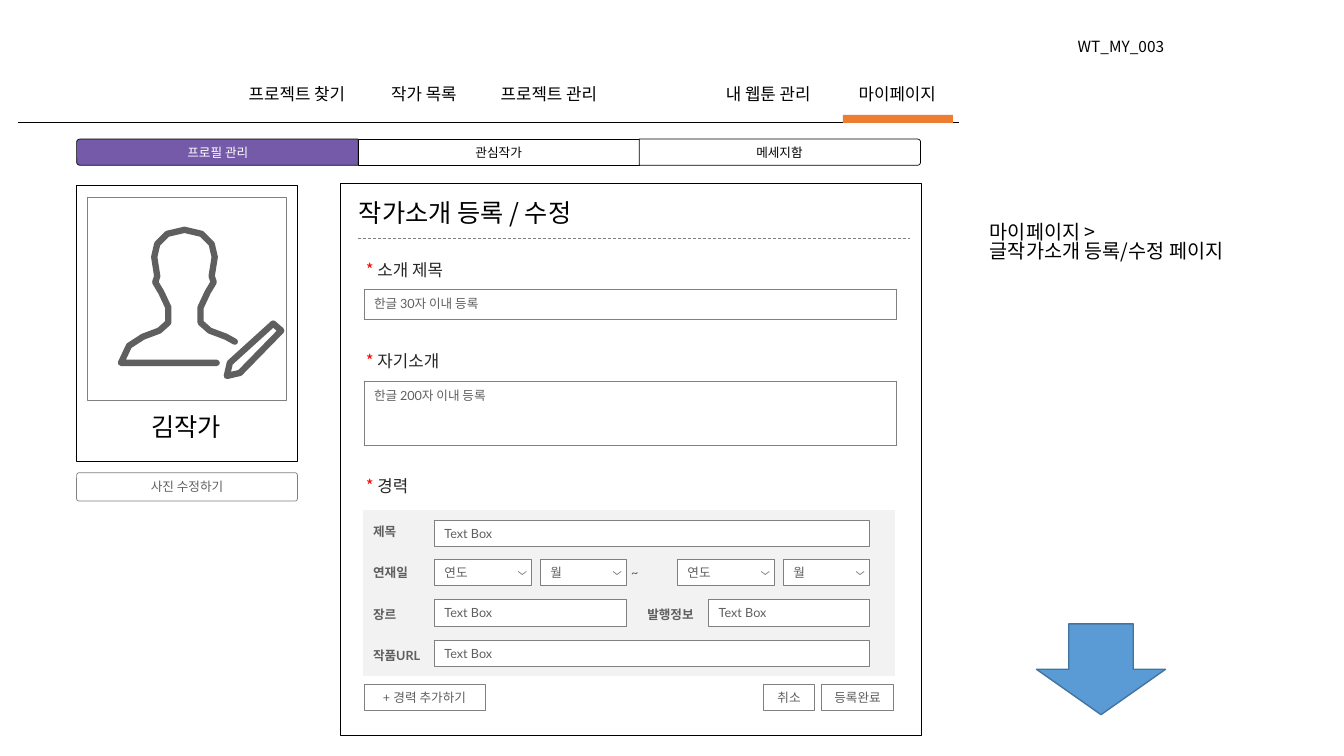
from lxml import etree
from pptx import Presentation
from pptx.dml.color import RGBColor
from pptx.enum.dml import MSO_LINE
from pptx.enum.shapes import MSO_CONNECTOR, MSO_SHAPE
from pptx.enum.text import MSO_ANCHOR, MSO_AUTO_SIZE, PP_ALIGN
from pptx.oxml import parse_xml
from pptx.oxml.ns import nsdecls, qn
from pptx.util import Inches, Pt

KOREAN, LATIN = "Noto Sans CJK KR", "Lato"
GRAY, TEXT_GRAY = "808080", "5F5F5F"
NO_GRID = "{2D5ABB26-0587-4C30-8999-92F81FD0307C}"


def paint(shape, fill=None, line=None, width=0.5):
    shape.shadow.inherit = False
    for part, color in ((shape.fill, fill), (shape.line.fill, line)):
        if color:
            part.solid()
            part.fore_color.rgb = RGBColor.from_string(color)
        else:
            part.background()
    if line:
        shape.line.width = Pt(width)


def style(frame, size, color, font=KOREAN, align=PP_ALIGN.LEFT, bold=False):
    frame.word_wrap = True
    for para in frame.paragraphs:
        para.alignment = align
        if font == KOREAN:
            para.line_spacing = 0.83
        for span in para.runs:
            span.font.size = Pt(size)
            span.font.bold = bold
            span.font.name = font
            span.font.color.rgb = RGBColor.from_string(color)
            east_asian = etree.SubElement(span.font._element, qn("a:ea"))
            east_asian.set("typeface", KOREAN)


deck = Presentation()
deck.slide_width, deck.slide_height = Inches(13.33), Inches(7.5)
page = deck.slides.add_slide(deck.slide_layouts[5])
shapes = page.shapes

for left, top, width, height in ((3.38, 1.82, 5.76, 5.48), (0.76, 1.84, 2.19, 2.74)):
    panel = shapes.add_shape(MSO_SHAPE.RECTANGLE, Inches(left), Inches(top), Inches(width), Inches(height))
    paint(panel, None, "000000", 1)

title = shapes.title
title.left, title.top, title.width, title.height = Inches(3.46), Inches(1.96), Inches(5.81), Inches(0.4)
title.text_frame.text = "작가소개 등록 / 수정"
title.text_frame.auto_size = MSO_AUTO_SIZE.NONE
title.text_frame.vertical_anchor = MSO_ANCHOR.TOP
style(title.text_frame, 18, "000000")

for left, right, y, color, dash in ((3.55, 9.03, 2.36, GRAY, MSO_LINE.DASH), (0.18, 9.51, 1.21, "000000", None)):
    rule = shapes.add_connector(MSO_CONNECTOR.STRAIGHT, Inches(left), Inches(y), Inches(right), Inches(y))
    rule.line.color.rgb = RGBColor.from_string(color)
    rule.line.width = Pt(0.5)
    rule.line.dash_style = dash
    etree.SubElement(rule._element.spPr, qn("a:effectLst"))

captions = [
    (9.72, 2.17, 3.23, 0.57, "마이페이지 >\n글작가소개 등록/수정 페이지", 14, PP_ALIGN.LEFT),
    (10.59, 0.35, 2.59, 0.29, "WT_MY_003", 11, PP_ALIGN.LEFT),
    (0.87, 4.08, 1.95, 0.4, "김작가", 18, PP_ALIGN.CENTER),
]
menu = ((2.3, 1.29, "프로젝트 찾기"), (3.74, 0.93, "작가 목록"), (4.81, 1.27, "프로젝트 관리"),
        (7.02, 1.2, "내 웹툰 관리"), (8.36, 1.08, "마이페이지"))
captions += [(left, 0.82, width, 0.3, text, 12, PP_ALIGN.CENTER) for left, width, text in menu]
for left, top, width, height, text, size, align in captions:
    box = shapes.add_textbox(Inches(left), Inches(top), Inches(width), Inches(height))
    box.text_frame.text = text
    style(box.text_frame, size, "000000", align=align)

for top, label in ((2.56, "소개 제목"), (3.46, "자기소개"), (4.7, "경력")):
    box = shapes.add_textbox(Inches(3.53), Inches(top), Inches(5.81), Inches(0.3))
    box.text_frame.text = "* "
    para = box.text_frame.paragraphs[0]
    para.add_run().text = label
    style(box.text_frame, 12, "262626")
    para.runs[0].font.color.rgb = RGBColor.from_string("FF0000")

for top, height, hint in ((2.87, 0.3, "한글 30자 이내 등록"), (3.78, 0.64, "한글 200자 이내 등록")):
    table = shapes.add_table(1, 1, Inches(3.61), Inches(top), Inches(5.28), Inches(height)).table
    table.first_row = table.horz_banding = False
    cell = table.cell(0, 0)
    cell.text_frame.text = hint
    style(cell.text_frame, 9, TEXT_GRAY, LATIN)
    cell_format = cell._tc.get_or_add_tcPr()
    for side in ("lnL", "lnR", "lnT", "lnB"):
        cell_format.append(parse_xml(
            f'<a:{side} {nsdecls("a")} w="6350"><a:solidFill><a:srgbClr val="{GRAY}"/></a:solidFill></a:{side}>'))
    cell.fill.solid()
    cell.fill.fore_color.rgb = RGBColor.from_string("FFFFFF")

career = shapes.add_table(4, 4, Inches(3.6), Inches(5.06), Inches(5.28), Inches(1.65)).table
career.first_row = career.horz_banding = False
career._tbl.tblPr.find(qn("a:tableStyleId")).text = NO_GRID
for column, width in zip(career.columns, (0.77, 1.95, 1.31, 1.25)):
    column.width = Inches(width)
for row in (0, 1, 3):
    career.cell(row, 1).merge(career.cell(row, 3))
for row, label in enumerate(("제목", "연재일", "장르", "작품URL")):
    career.cell(row, 0).text_frame.text = label
career.cell(1, 1).text_frame.text = "~"
career.cell(2, 2).text_frame.text = "발행정보"
for cell in career.iter_cells():
    cell.margin_top = cell.margin_bottom = 0
    cell.vertical_anchor = MSO_ANCHOR.MIDDLE
    cell.fill.solid()
    cell.fill.fore_color.rgb = RGBColor.from_string("F2F2F2")
    style(cell.text_frame, 9, TEXT_GRAY, LATIN, bold=cell.text_frame.text != "~")
career.cell(1, 1).margin_left = Inches(1.89)

inputs = ((4.31, 5.16, 4.31), (4.31, 5.95, 1.9), (7.03, 5.95, 1.59), (4.31, 6.35, 4.31))
fields = [(left, top, width, "Text Box", PP_ALIGN.LEFT) for left, top, width in inputs]
selects = [(start + offset, width, text) for start in (4.31, 6.72)
           for offset, width, text in ((0, 0.96, "연도"), (1.05, 0.85, "월"))]
fields += [(left, 5.55, width, text, PP_ALIGN.LEFT) for left, width, text in selects]
buttons = ((3.61, 1.2, "+ 경력 추가하기"), (7.57, 0.51, "취소"), (8.15, 0.71, "등록완료"))
fields += [(left, 6.79, width, text, PP_ALIGN.CENTER) for left, width, text in buttons]
for left, top, width, text, align in fields:
    field = shapes.add_shape(MSO_SHAPE.RECTANGLE, Inches(left), Inches(top), Inches(width), Inches(0.26))
    paint(field, "FFFFFF", GRAY)
    frame = field.text_frame
    frame.text = text
    frame.vertical_anchor = MSO_ANCHOR.MIDDLE
    frame.margin_top = frame.margin_bottom = Inches(0.02)
    style(frame, 9, TEXT_GRAY, LATIN, align)

for left, width, text in selects:
    tip = left + width - 0.09
    chevron = shapes.build_freeform(Inches(tip + 0.04), Inches(5.67), scale=1.0)
    chevron.add_line_segments([(Inches(tip), Inches(5.7)), (Inches(tip - 0.04), Inches(5.67))], close=False)
    paint(chevron.convert_to_shape(), "FFFFFF", GRAY)

tab_width, tab_height = 2.79, 0.26
tabs = (("프로필 관리", "755AA9", "FFFFFF", (0, 0.12)), ("관심작가", "FFFFFF", "000000", None),
        ("메세지함", "FFFFFF", "000000", (0.11, 0)))
for index, (text, fill, color, corners) in enumerate(tabs):
    left, top, width, height = 0.76 + index * tab_width, 1.38, tab_width, tab_height
    if corners:
        left, top = left + (width - height) / 2, top - (width - height) / 2
        width, height = height, width
    kind = MSO_SHAPE.ROUND_2_SAME_RECTANGLE if corners else MSO_SHAPE.RECTANGLE
    tab = shapes.add_shape(kind, Inches(left), Inches(top), Inches(width), Inches(height))
    paint(tab, fill, "000000")
    frame = tab.text_frame
    frame.text = text
    frame.vertical_anchor = MSO_ANCHOR.MIDDLE
    frame.margin_left = frame.margin_right = frame.margin_top = frame.margin_bottom = 0
    style(frame, 9, color, LATIN, PP_ALIGN.CENTER)
    if corners:
        tab.adjustments[0], tab.adjustments[1] = corners
        tab.rotation = 90
        tab._element.txBody.bodyPr.set("vert", "vert270")

photo = shapes.add_shape(MSO_SHAPE.RECTANGLE, Inches(0.87), Inches(1.96), Inches(1.97), Inches(2.01))
paint(photo, "FFFFFF", GRAY)
photo_button = shapes.add_shape(MSO_SHAPE.ROUNDED_RECTANGLE, Inches(0.76), Inches(4.69), Inches(2.19), Inches(0.28))
photo_button.adjustments[0] = 0.08
paint(photo_button, "FFFFFF", GRAY)
photo_button.text_frame.text = "사진 수정하기"
photo_button.text_frame.vertical_anchor = MSO_ANCHOR.MIDDLE
style(photo_button.text_frame, 9, TEXT_GRAY, LATIN, PP_ALIGN.CENTER)

face_center = 1.83
profile = [(1.83, 2.28), (1.66, 2.32), (1.56, 2.42), (1.53, 2.55), (1.56, 2.74), (1.54, 2.8), (1.6, 2.9),
           (1.67, 3.05), (1.67, 3.2), (1.58, 3.28), (1.42, 3.34)]
mirrored = [(2 * face_center - x, y) for x, y in reversed(profile[1:])]
person = [(2.33, 3.39)] + mirrored + profile + [(1.28, 3.43), (1.2, 3.6), (2.15, 3.6)]
pencil = [(2.71, 3.21), (2.79, 3.28), (2.38, 3.7), (2.25, 3.73), (2.28, 3.6)]
for outline, closed in ((person, False), (pencil, True)):
    corners = [(Inches(x), Inches(y)) for x, y in outline]
    builder = shapes.build_freeform(*corners[0], scale=1.0)
    builder.add_line_segments(corners[1:], close=closed)
    stroke = builder.convert_to_shape()
    paint(stroke, None, TEXT_GRAY, 4.5)
    line = stroke._element.spPr.find(qn("a:ln"))
    line.set("cap", "rnd")
    etree.SubElement(line, qn("a:round"))

marker = shapes.add_shape(MSO_SHAPE.RECTANGLE, Inches(8.36), Inches(1.14), Inches(1.09), Inches(0.08))
paint(marker, "ED7D31")
arrow = shapes.add_shape(MSO_SHAPE.DOWN_ARROW, Inches(10.28), Inches(6.19), Inches(1.28), Inches(0.9))
paint(arrow, "5B9BD5", "43739E", 1)

deck.save("out.pptx")
